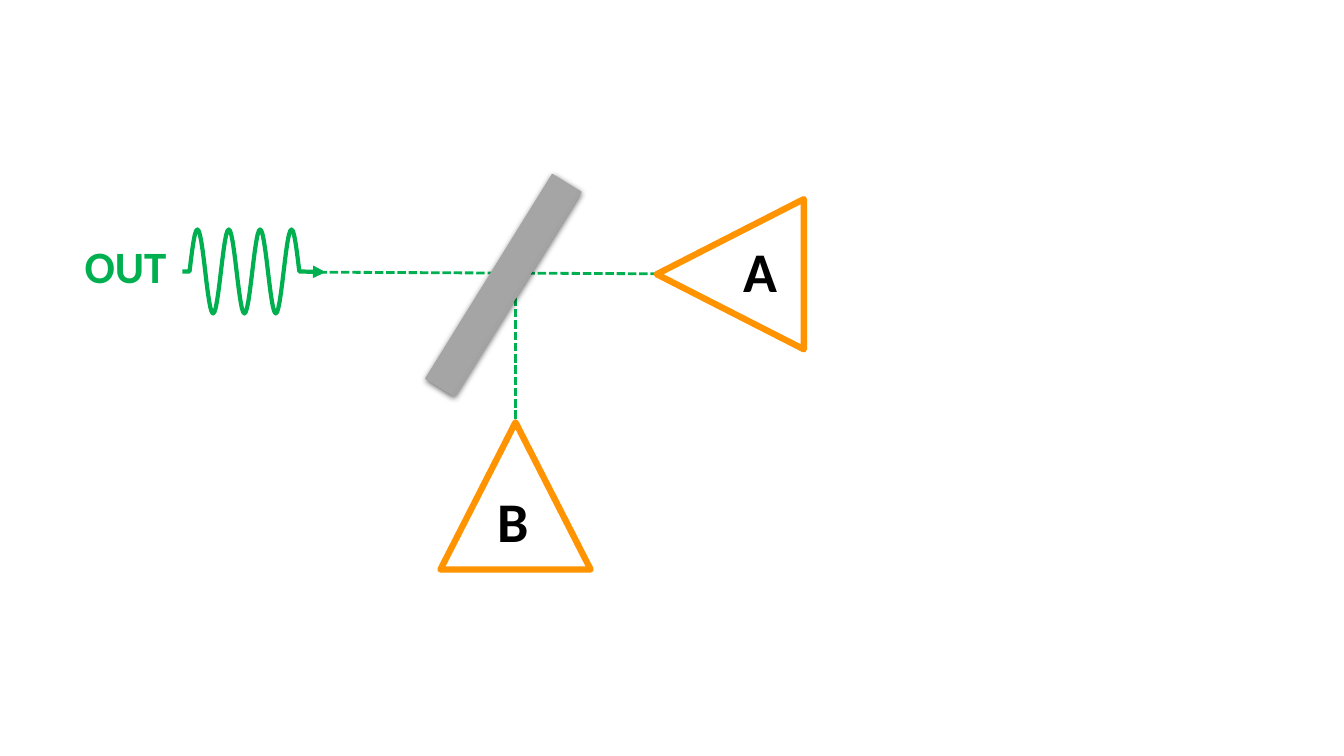
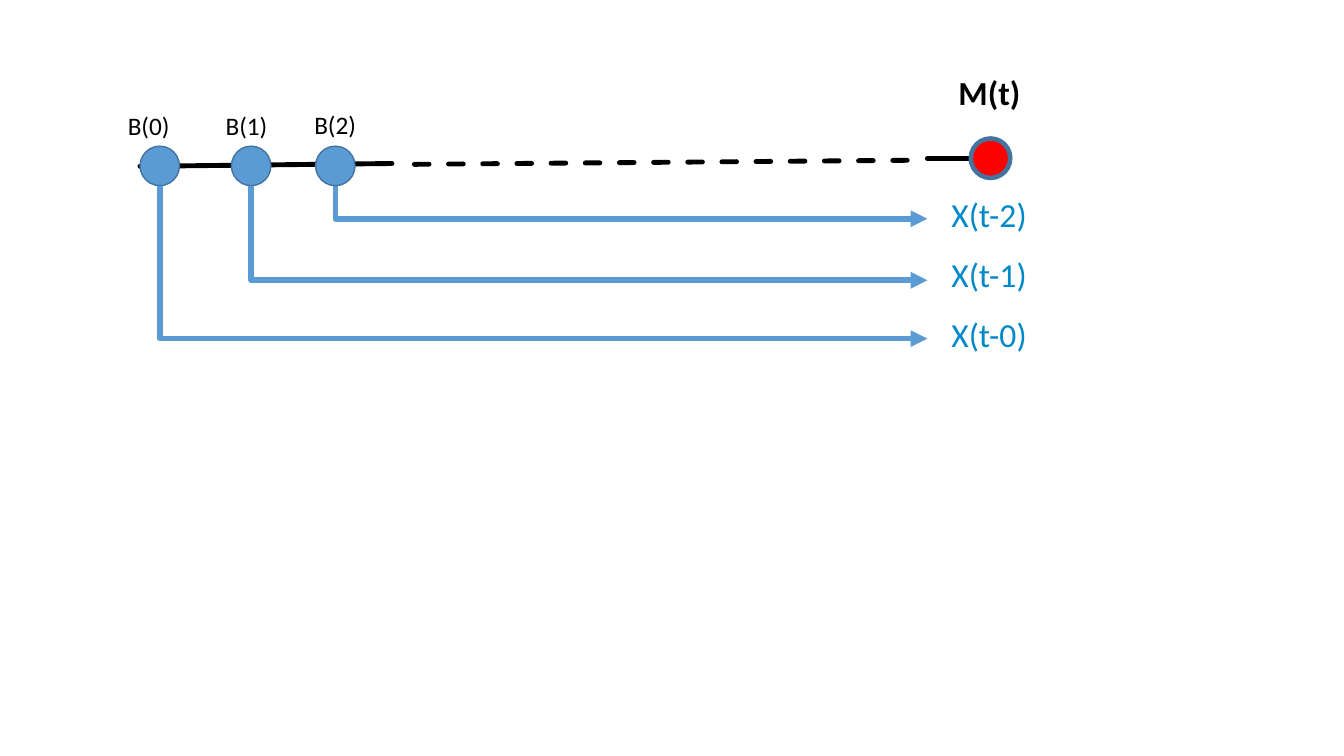
from copy import deepcopy
from math import pi, sin

from lxml import etree
from pptx import Presentation
from pptx.dml.color import RGBColor
from pptx.enum import dml, shapes, text
from pptx.oxml.ns import qn
from pptx.util import Pt

GREEN, ORANGE, BLACK, WHITE = "00B050", "FF9300", "000000", "FFFFFF"
BLUE, EDGE, SKY, RED = "5B9BD5", "43739E", "0089C9", "FF0000"
FONT = "Calibri"
STRAIGHT = shapes.MSO_CONNECTOR.STRAIGHT
FORM = shapes.MSO_SHAPE
DASH = dml.MSO_LINE

rgb = RGBColor.from_string


def style(item, color, width, fill=None, dash=None, arrow=False, cap=None):
    """Set the outline and fill of a shape or connector, without a shadow."""
    item.line.color.rgb = rgb(color)
    item.line.width = Pt(width)
    if dash:
        item.line.dash_style = dash
    if fill:
        item.fill.solid()
        item.fill.fore_color.rgb = rgb(fill)
    props = item._element.spPr
    edge = props.find(qn("a:ln"))
    if cap:
        edge.set("cap", cap)
    if arrow:
        etree.SubElement(edge, qn("a:tailEnd"), type="triangle")
    etree.SubElement(props, qn("a:effectLst"))


def label(slide, words, left, top, width, height, size, color, bold=False):
    box = slide.shapes.add_textbox(Pt(left), Pt(top), Pt(width), Pt(height))
    frame = box.text_frame
    frame.text = words
    frame.word_wrap = False
    frame.auto_size = text.MSO_AUTO_SIZE.SHAPE_TO_FIT_TEXT
    font = frame.paragraphs[0].runs[0].font
    font.name, font.size, font.bold = FONT, Pt(size), bold
    font.color.rgb = rgb(color)


prs = Presentation()
prs.slide_width, prs.slide_height = Pt(960), Pt(540)
blank = prs.slide_layouts[6]

# Slide 1: a wave meets a beam splitter with two detectors
slide = prs.slides.add_slide(blank)

mid, swing, start, period = 193.9, 30, 135.4, 22.4
steps = 84
points = [(start + 3.5 * period * i / steps,
           mid - swing * sin(7 * pi * i / steps)) for i in range(steps + 1)]
points.append((232.6, mid + 0.5))
path = slide.shapes.build_freeform(Pt(130.3), Pt(mid), scale=1.0)
path.add_line_segments([(Pt(x), Pt(y)) for x, y in points], close=False)
wave = path.convert_to_shape()
wave.fill.background()
style(wave, GREEN, 3, arrow=True)

label(slide, "OUT", 53.3, 167, 73.4, 46, 32, GREEN, True)

for x1, y1, x2, y2 in [(227.5, 194.4, 368, 195.1),
                       (368, 195.1, 513.4, 195.8),
                       (368, 196.6, 368, 353.5)]:
    beam = slide.shapes.add_connector(STRAIGHT, Pt(x1), Pt(y1), Pt(x2), Pt(y2))
    style(beam, GREEN, 2, dash=DASH.SQUARE_DOT, arrow=True)

mirror = slide.shapes.add_shape(FORM.RECTANGLE, Pt(273.6), Pt(191.5),
                                Pt(172), Pt(24.5))
mirror.rotation = 301.8
mirror.line.fill.background()
mirror.fill.gradient()
mirror.fill.gradient_angle = 270
stops = mirror._element.spPr.find(".//" + qn("a:gsLst"))
stops.insert(1, deepcopy(stops[0]))
for stop, place, color in zip(mirror.fill.gradient_stops, (0, 0.5, 1),
                              ("AFAFAF", "A5A5A5", "939393")):
    stop.position = place
    stop.color.rgb = rgb(color)
glow = etree.SubElement(mirror._element.spPr, qn("a:effectLst"))
shade = etree.SubElement(glow, qn("a:outerShdw"), blurRad=str(Pt(4.5)),
                         dist=str(Pt(1.5)), dir="5400000", rotWithShape="0")
tint = etree.SubElement(shade, qn("a:srgbClr"), val=BLACK)
etree.SubElement(tint, qn("a:alpha"), val="63000")

for name, left, top, turn, x, y, width in [
        ("A", 468, 143.3, 270, 524.2, 165.6, 38.9),
        ("B", 314.6, 301.7, 0, 348.5, 344.2, 37.4)]:
    cone = slide.shapes.add_shape(FORM.ISOSCELES_TRIANGLE, Pt(left), Pt(top),
                                  Pt(107.3), Pt(105.1))
    cone.rotation = turn
    style(cone, ORANGE, 4.5, fill=WHITE)
    label(slide, name, x, y, width, 55.4, 40, BLACK, True)

# Slide 2: timeline of states feeding M(t)
slide = prs.slides.add_slide(blank)
size, top, tip = 28.2, 104.4, 662.4

for x1, y1, x2, y2, dash in [(100, 118.8, 280, 116.8, None),
                             (296, 117.4, 648, 114.5, DASH.DASH),
                             (662.4, 113.2, 707, 113.2, None)]:
    line = slide.shapes.add_connector(STRAIGHT, Pt(x1), Pt(y1), Pt(x2), Pt(y2))
    style(line, BLACK, 3.5, dash=dash, cap="rnd")

for i, (left, x, y, row) in enumerate([(100, 84.2, 75.6, 241.9),
                                       (165.3, 154.1, 75.2, 200.2),
                                       (225.4, 217.4, 74.4, 156.2)]):
    dot = slide.shapes.add_shape(FORM.OVAL, Pt(left), Pt(top), Pt(size), Pt(size))
    style(dot, EDGE, 1, fill=BLUE)
    label(slide, f"B({i})", x, y, 44.6, 28.8, 18, BLACK)

    # The elbow is turned a quarter, so its width is the drop
    stem, foot = left + size / 2, top + size
    run, drop = tip - stem, row - foot
    bend = slide.shapes.add_connector(shapes.MSO_CONNECTOR.ELBOW, 0, 0, 0, 0)
    bend.left, bend.top = Pt(stem + (run - drop) / 2), Pt(foot + (drop - run) / 2)
    bend.width, bend.height = Pt(drop), Pt(run)
    props = bend._element.spPr
    props.find(qn("a:prstGeom")).set("prst", "bentConnector2")
    frame = props.find(qn("a:xfrm"))
    frame.set("rot", "16200000")
    frame.set("flipH", "1")
    style(bend, BLUE, 4, arrow=True)
    label(slide, f"X(t-{i})", 672.5, 221 - 42.9 * i, 69.1, 36, 24, SKY)

label(slide, "M(t)", 677.5, 47.5, 59, 36, 24, BLACK, True)
goal = slide.shapes.add_shape(FORM.OVAL, Pt(693.4), Pt(98.9), Pt(size), Pt(size))
style(goal, EDGE, 3.25, fill=RED)

prs.save("out.pptx")
